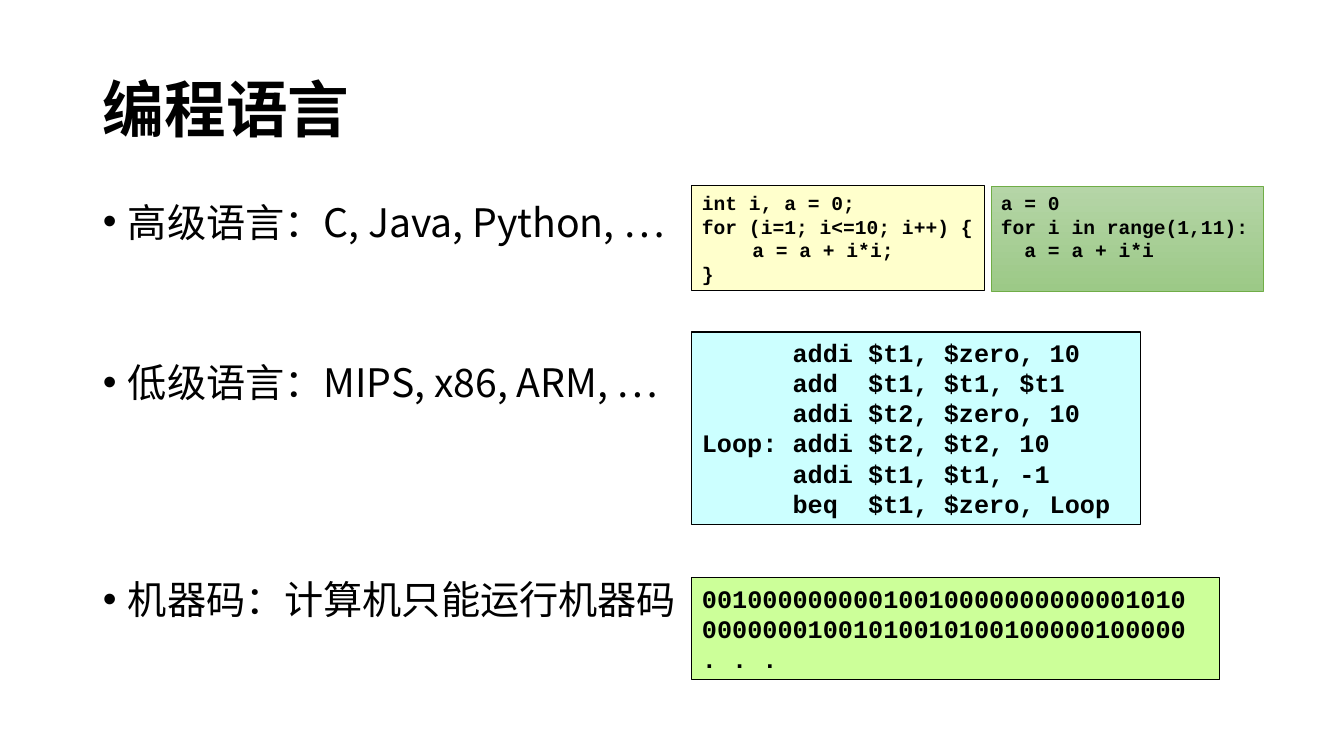
import pptx
import pptx.util
import pptx.dml.color
import pptx.enum.shapes
import pptx.enum.text
import pptx.oxml
import pptx.oxml.ns
import lxml.etree

RGB = pptx.dml.color.RGBColor
BLACK = RGB(0x00, 0x00, 0x00)
YELLOW = RGB(0xFF, 0xFF, 0xCC)
GREEN_TOP = RGB(0xB5, 0xD5, 0xA7)
GREEN_BOTTOM = RGB(0x9C, 0xC9, 0x87)
GREEN_LINE = RGB(0x70, 0xAD, 0x47)
CYAN = RGB(0xCC, 0xFF, 0xFF)
LIME = RGB(0xCC, 0xFF, 0x99)

SANS = "Noto Sans CJK SC"
MONO = "Courier New"
SLIDE_W, SLIDE_H = 1344, 756
EMU_PER_PX = 12192000 / SLIDE_W

TITLE = "编程语言"
TITLE_BOX = (93, 40, 1159, 146)
LEVELS_BOX = (93, 202, 1159, 480)
LEVELS = [
    ("高级语言：C, Java, Python, …", 0),
    ("低级语言：MIPS, x86, ARM, …", 88),
    ("机器码：计算机只能运行机器码", 128),
]
BULLET_INDENT = 25

C_CODE = """int i, a = 0;
for (i=1; i<=10; i++) {
\ta = a + i*i;
}"""
PYTHON_CODE = """a = 0
for i in range(1,11):
  a = a + i*i"""
ASSEMBLY = """      addi $t1, $zero, 10
      add  $t1, $t1, $t1
      addi $t2, $zero, 10
Loop: addi $t2, $t2, 10
      addi $t1, $t1, -1
      beq  $t1, $zero, Loop"""
MACHINE_CODE = """00100000000010010000000000001010
00000001001010010100100000100000
. . ."""
CODE_X = 692
CODE_BOXES = [
    (C_CODE, (CODE_X, 186, 293, 105), 14, (YELLOW,), BLACK, 0.75),
    (PYTHON_CODE, (991, 186, 272, 105), 14, (GREEN_TOP, GREEN_BOTTOM), GREEN_LINE, 0.5),
    (ASSEMBLY, (CODE_X, 332, 449, 193), 18, (CYAN,), BLACK, 0.75),
    (MACHINE_CODE, (CODE_X, 578, 528, 102), 18, (LIME,), BLACK, 0.75),
]


def px(n):
    return pptx.util.Emu(round(n * EMU_PER_PX))


def format_runs(p, font, size, bold):
    for r in p.runs:
        r.font.size = pptx.util.Pt(size)
        r.font.bold = bold
        r.font.color.rgb = BLACK
        r.font.name = font
        ea = lxml.etree.SubElement(r.font._element, pptx.oxml.ns.qn("a:ea"))
        ea.set("typeface", font)


def add_text_box(slide, box):
    tf = slide.shapes.add_textbox(*map(px, box)).text_frame
    tf.word_wrap = True
    return tf


def add_bullet(p):
    pPr = p._p.get_or_add_pPr()
    pPr.set("marL", str(px(BULLET_INDENT)))
    pPr.set("indent", str(-px(BULLET_INDENT)))
    font = lxml.etree.SubElement(pPr, pptx.oxml.ns.qn("a:buFont"))
    font.set("typeface", "Arial")
    char = lxml.etree.SubElement(pPr, pptx.oxml.ns.qn("a:buChar"))
    char.set("char", "•")


def add_title(slide):
    tf = add_text_box(slide, TITLE_BOX)
    tf.vertical_anchor = pptx.enum.text.MSO_ANCHOR.MIDDLE
    tf.text = TITLE
    p = tf.paragraphs[0]
    p.line_spacing = 0.9
    format_runs(p, SANS, 44, True)


def add_levels(slide):
    tf = add_text_box(slide, LEVELS_BOX)
    tf.text = "\n".join(text for text, _ in LEVELS)
    for p, (_, before) in zip(tf.paragraphs, LEVELS):
        add_bullet(p)
        p.line_spacing = 0.8
        if before:
            p.space_before = pptx.util.Pt(before)
        format_runs(p, SANS, 28, False)


def add_code_box(slide, code, box, size, fills, line_color, line_width):
    sp = slide.shapes.add_shape(pptx.enum.shapes.MSO_SHAPE.RECTANGLE, *map(px, box))
    sp.shadow.inherit = False
    if len(fills) == 1:
        sp.fill.solid()
        sp.fill.fore_color.rgb = fills[0]
    else:
        sp.fill.gradient()
        sp.fill.gradient_angle = 270
        for stop, color in zip(sp.fill.gradient_stops, fills):
            stop.color.rgb = color
    sp.line.color.rgb = line_color
    sp.line.width = pptx.util.Pt(line_width)
    tf = sp.text_frame
    tf.word_wrap = True
    tf.auto_size = pptx.enum.text.MSO_AUTO_SIZE.SHAPE_TO_FIT_TEXT
    tf.vertical_anchor = pptx.enum.text.MSO_ANCHOR.TOP
    tf.text = code
    for p in tf.paragraphs:
        p.alignment = pptx.enum.text.PP_ALIGN.LEFT
        format_runs(p, MONO, size, True)


def main():
    prs = pptx.Presentation()
    prs.slide_width, prs.slide_height = px(SLIDE_W), px(SLIDE_H)
    slide = prs.slides.add_slide(prs.slide_layouts[6])
    add_title(slide)
    add_levels(slide)
    for code_box in CODE_BOXES:
        add_code_box(slide, *code_box)
    prs.save("out.pptx")


if __name__ == "__main__":
    main()
